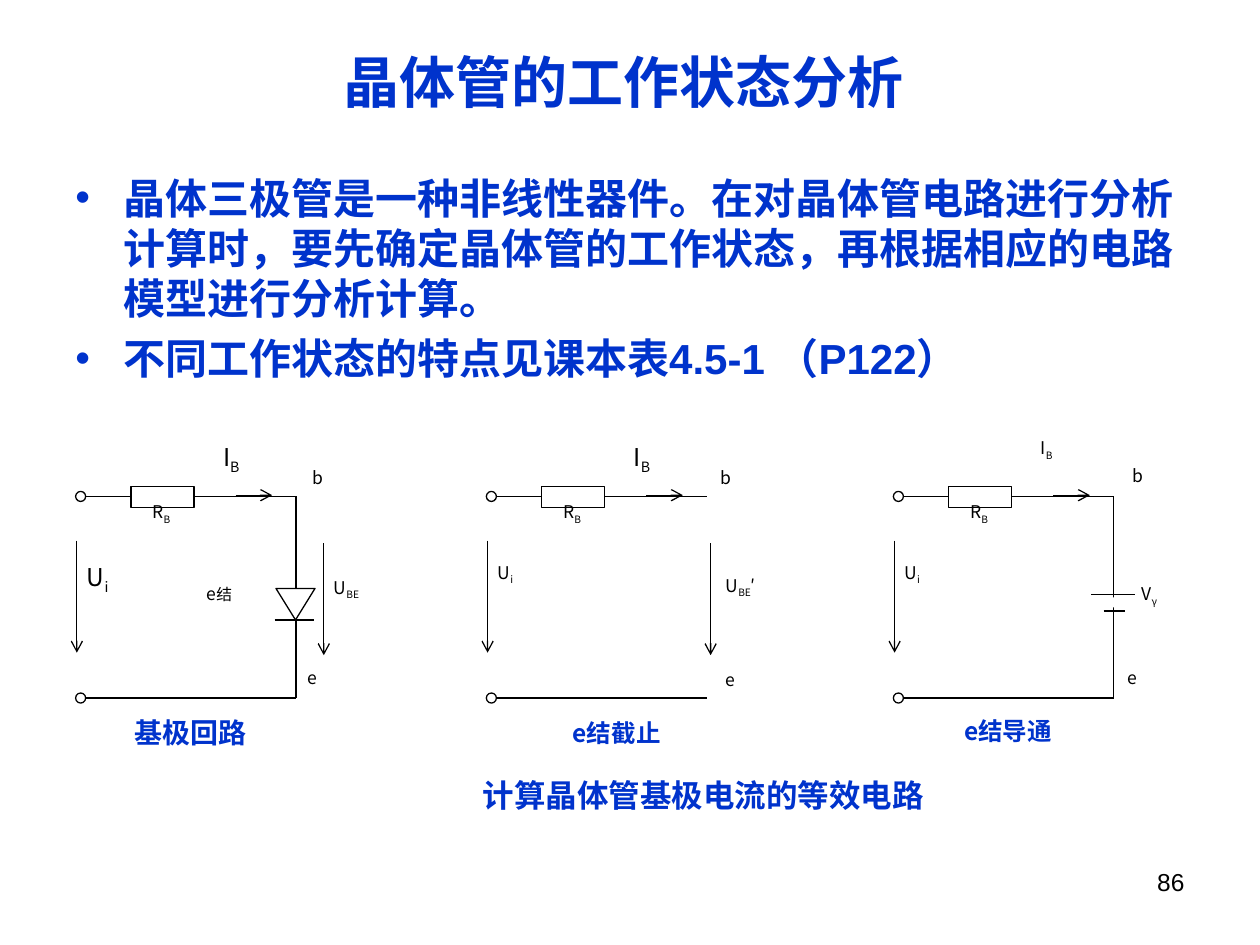
from dataclasses import dataclass

from lxml import etree
from pptx import Presentation
from pptx.dml.color import RGBColor
from pptx.enum import shapes, text
from pptx.oxml import ns
from pptx.util import Inches, Pt


@dataclass(frozen=True)
class Theme:
    blue: RGBColor = RGBColor(0x00, 0x33, 0xCC)
    black: RGBColor = RGBColor(0, 0, 0)
    white: RGBColor = RGBColor(255, 255, 255)
    latin: str = "Arial"
    chinese: str = "Noto Sans CJK SC"
    title: int = 32
    body: int = 24
    heading: int = 18
    large: int = 14
    small: int = 10
    hairline: float = 0.75


THEME = Theme()
ALIGN = text.PP_ALIGN
SHAPE = shapes.MSO_SHAPE
TOP, BOTTOM = 3.94, 5.54
WIDTH = 1.72


def add_xml(parent, tag, **attributes):
    return etree.SubElement(parent, ns.qn(tag), attributes)


def add_span(para, words, size, color=THEME.black, bold=False, name=THEME.chinese, baseline=None):
    span = para.add_run()
    span.text = words
    span.font.color.rgb = color
    for key, value in {"size": Pt(size), "bold": bold, "name": name}.items():
        setattr(span.font, key, value)
    props = span._r.get_or_add_rPr()
    add_xml(props, "a:ea", typeface=THEME.chinese)
    if baseline is not None:
        props.set("baseline", str(baseline))


def format_frame(frame, sides=0, ends=0, anchor=text.MSO_ANCHOR.TOP):
    values = {
        "word_wrap": True, "auto_size": text.MSO_AUTO_SIZE.NONE, "vertical_anchor": anchor,
        "margin_left": Inches(sides), "margin_right": Inches(sides),
        "margin_top": Inches(ends), "margin_bottom": Inches(ends),
    }
    for key, value in values.items():
        setattr(frame, key, value)


def add_box(page, left, top, width, height, sides=0, ends=0):
    box = page.shapes.add_textbox(Inches(left), Inches(top), Inches(width), Inches(height))
    format_frame(box.text_frame, sides, ends)
    return box.text_frame


def add_label(page, left, top, base, sub="", mark="", size=THEME.small):
    """Black symbol with an optional subscript and a mark after it."""
    para = add_box(page, left, top, 0.45, 0.39).paragraphs[0]
    add_span(para, base, size)
    if sub:
        add_span(para, sub, size, baseline=-25000)
    if mark:
        add_span(para, mark, size)


def add_caption(page, left, top, width, words, size):
    para = add_box(page, left, top, width, 0.43).paragraphs[0]
    para.alignment = ALIGN.CENTER
    add_span(para, words, size, THEME.blue, True)


def add_line(page, x1, y1, x2, y2, weight=THEME.hairline, arrow=False):
    line = page.shapes.add_connector(
        shapes.MSO_CONNECTOR.STRAIGHT, Inches(x1), Inches(y1), Inches(x2), Inches(y2))
    line.line.color.rgb = THEME.black
    line.line.width = Pt(weight)
    if arrow:
        add_xml(line.line._get_or_add_ln(), "a:tailEnd", type="arrow")
    add_xml(line._element.spPr, "a:effectLst")


def add_part(page, kind, left, top, width, height, outlined=True):
    part = page.shapes.add_shape(kind, Inches(left), Inches(top), Inches(width), Inches(height))
    part.shadow.inherit = False
    part.fill.solid()
    part.fill.fore_color.rgb = THEME.white
    if outlined:
        part.line.color.rgb = THEME.black
        part.line.width = Pt(THEME.hairline)
    else:
        part.line.fill.background()
    return part


def add_circuit(page, x, current_top=3.51, current_size=THEME.large, input_size=THEME.small):
    """Parts that all three circuits share; x is the left end of the wires."""
    for y in (TOP, BOTTOM):
        add_line(page, x, y, x + WIDTH, y)
        add_part(page, SHAPE.OVAL, x - 0.03, y - 0.04, 0.08, 0.08)
    add_part(page, SHAPE.RECTANGLE, x + 0.41, 3.86, 0.5, 0.17)
    add_line(page, x - 0.02, 4.29, x - 0.02, 5.18, arrow=True)
    add_line(page, x + 1.24, 3.93, x + 1.53, 3.93, arrow=True)
    add_label(page, x + 0.58, 3.98, "R", "B")
    add_label(page, x + 0.06, 4.46, "U", "i", size=input_size)
    add_label(page, x + 1.14, current_top, "I", "B", size=current_size)


def add_output_arrow(page, x):
    add_line(page, x, 4.31, x, 5.2, arrow=True)


def add_diode_circuit(page, x):
    rail = x + WIDTH
    add_circuit(page, x, input_size=THEME.large)
    add_line(page, rail, TOP, rail, BOTTOM)
    add_part(page, SHAPE.ISOSCELES_TRIANGLE, rail - 0.16, 4.67, 0.31, 0.25).rotation = 180
    add_line(page, rail - 0.17, 4.92, rail + 0.14, 4.92, 1)
    add_output_arrow(page, rail + 0.22)
    add_label(page, rail + 0.3, 4.58, "U", "BE")
    add_label(page, rail + 0.13, 3.71, "b")
    add_label(page, rail + 0.09, 5.29, "e")
    para = add_box(page, 1.64, 4.63, 0.46, 0.37).paragraphs[0]
    add_span(para, "e", THEME.small)
    add_span(para, "结", THEME.small - 1)
    add_caption(page, 0.5, 5.68, 2.02, "基极回路", 16)


def add_open_circuit(page, x):
    rail = x + WIDTH
    add_circuit(page, x)
    add_output_arrow(page, rail + 0.03)
    add_label(page, rail + 0.15, 4.56, "U", "BE", "′")
    add_label(page, rail + 0.11, 3.71, "b")
    add_label(page, rail + 0.15, 5.31, "e")
    add_caption(page, 3.76, 5.7, 2.27, "e结截止", THEME.large)


def add_battery_circuit(page, x):
    rail = x + WIDTH
    add_circuit(page, x, current_top=3.47, current_size=THEME.small)
    add_line(page, rail, TOP, rail, BOTTOM)
    add_part(page, SHAPE.RECTANGLE, rail - 0.16, 4.74, 0.35, 0.08, outlined=False)
    add_line(page, rail - 0.18, 4.72, rail + 0.17, 4.72)
    add_line(page, rail - 0.08, 4.85, rail + 0.09, 4.85, 1.5)
    add_label(page, rail + 0.22, 4.63, "V", "γ")
    add_label(page, rail + 0.15, 3.69, "b")
    add_label(page, rail + 0.11, 5.29, "e")
    add_caption(page, 6.99, 5.68, 2.02, "e结导通", THEME.large)


def add_title(page, words):
    title = page.shapes.title
    for key, value in {"left": 0.5, "top": 0.3, "width": 9, "height": 0.69}.items():
        setattr(title, key, Inches(value))
    format_frame(title.text_frame, 0.1, 0.05, text.MSO_ANCHOR.MIDDLE)
    para = title.text_frame.paragraphs[0]
    para.alignment = ALIGN.CENTER
    add_span(para, words, THEME.title, THEME.blue, True)


def add_bullets(page, items):
    frame = add_box(page, 0.5, 1.32, 9, 2.1, 0.1, 0.05)
    for index, words in enumerate(items):
        para = frame.add_paragraph() if index else frame.paragraphs[0]
        para.space_before = Pt(6)
        para.line_spacing = Pt(28.6)
        props = para._p.get_or_add_pPr()
        props.set("marL", str(Inches(0.38)))
        props.set("indent", str(-Inches(0.38)))
        add_xml(add_xml(props, "a:buClr"), "a:srgbClr", val=str(THEME.blue))
        add_xml(props, "a:buFont", typeface=THEME.latin)
        add_xml(props, "a:buChar", char="•")
        add_span(para, words, THEME.body, THEME.blue, True, THEME.latin)


def add_page_number(page, number):
    para = add_box(page, 7.17, 6.83, 2.33, 0.52, 0.1, 0.05).paragraphs[0]
    para.alignment = ALIGN.RIGHT
    add_span(para, number, THEME.large, name=THEME.latin)


def main():
    deck = Presentation()
    deck.slide_width, deck.slide_height = Inches(10), Inches(7.5)
    page = deck.slides.add_slide(deck.slide_layouts.get_by_name("Title Only"))
    add_title(page, "晶体管的工作状态分析 ")
    add_bullets(page, (
        "晶体三极管是一种非线性器件。在对晶体管电路进行分析计算时，"
        "要先确定晶体管的工作状态，再根据相应的电路模型进行分析计算。",
        "不同工作状态的特点见课本表4.5-1 （P122）",
    ))
    add_diode_circuit(page, 0.63)
    add_open_circuit(page, 3.89)
    add_battery_circuit(page, 7.12)
    add_caption(page, 3.07, 6.16, 5.02, "计算晶体管基极电流的等效电路", THEME.heading)
    add_page_number(page, "86")
    deck.save("out.pptx")


if __name__ == "__main__":
    main()
